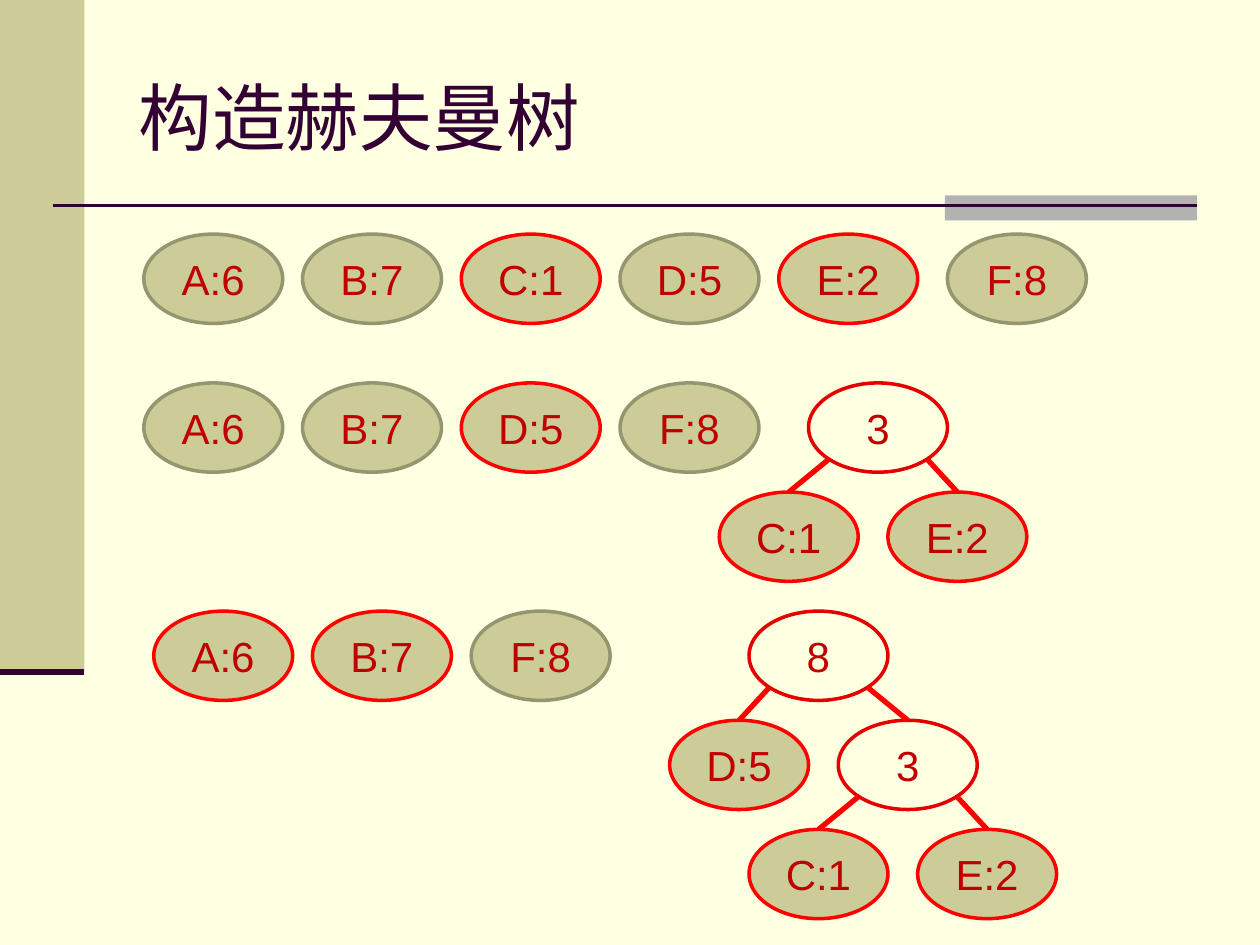
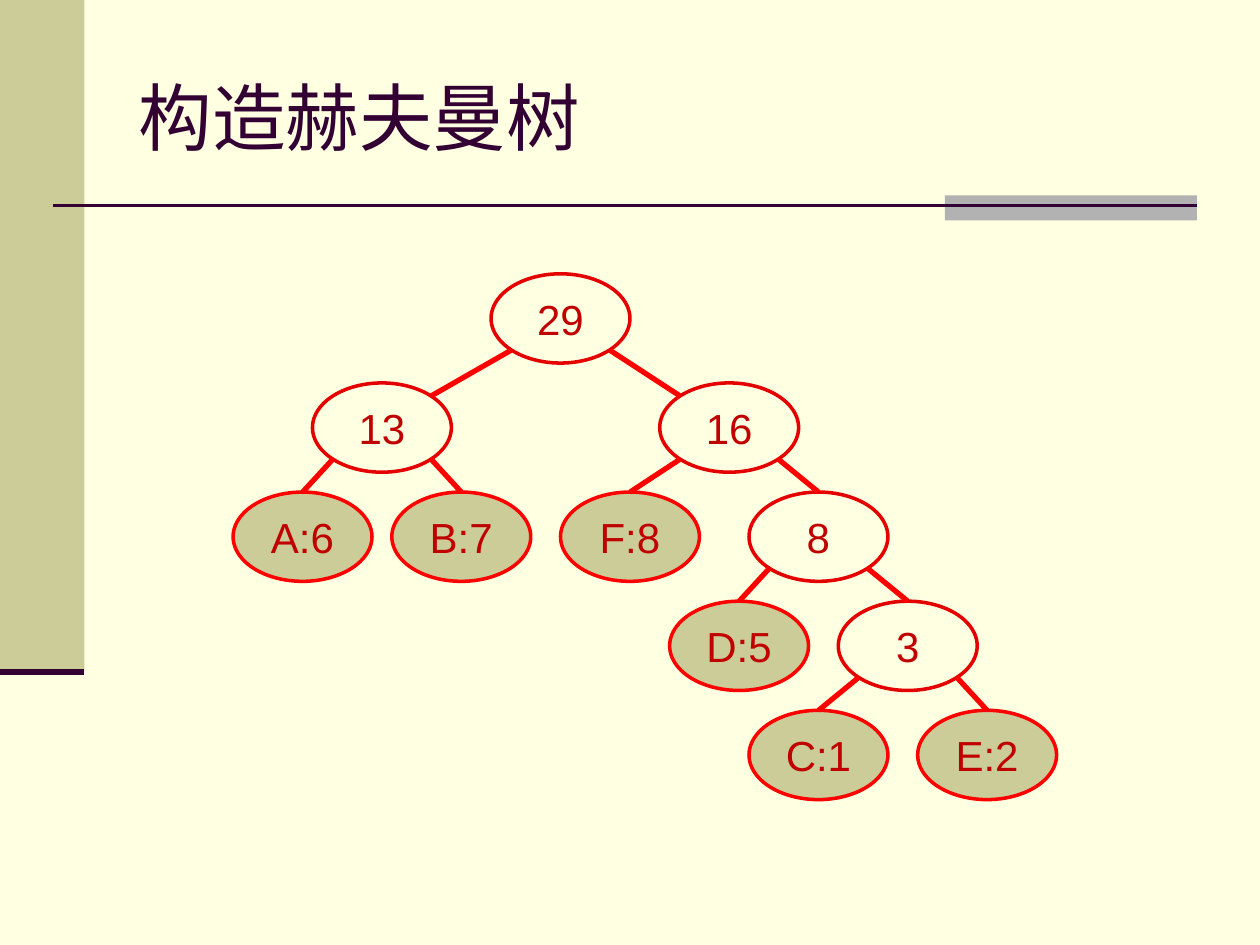
"""Build two slides that show how a Huffman tree is constructed."""
from dataclasses import dataclass
from math import sqrt
from typing import Optional

from pptx import Presentation
from pptx.dml.color import RGBColor
from pptx.enum.shapes import MSO_CONNECTOR, MSO_SHAPE
from pptx.enum.text import MSO_ANCHOR, MSO_AUTO_SIZE, PP_ALIGN
from pptx.oxml.ns import qn
from pptx.shapes.autoshape import Shape
from pptx.shapes.connector import Connector
from pptx.slide import Slide
from pptx.util import Inches, Mm, Pt

STRAIGHT = MSO_CONNECTOR.STRAIGHT
OVAL, RECTANGLE = MSO_SHAPE.OVAL, MSO_SHAPE.RECTANGLE
MIDDLE, LEFT, CENTER = MSO_ANCHOR.MIDDLE, PP_ALIGN.LEFT, PP_ALIGN.CENTER
NO_AUTOFIT = MSO_AUTO_SIZE.NONE

FONT = "Arial"
TITLE = "构造赫夫曼树"
CREAM, KHAKI, SILVER, PLUM = "FFFFE1", "CCCC99", "B2B2B2", "330033"
OLIVE, RED, INNER_RED, TEXT_RED = "95956F", "FF0000", "E50000", "C00000"

CELL = Mm(2)
ORIGIN_COLUMN, ORIGIN_ROW = 0.5, 0.6
NODE_COLUMNS, NODE_ROWS = 14, 9
NODE_STEP, LEVEL_STEP = 16, 11
DIAGONAL = sqrt(0.5)
TITLE_ONLY_LAYOUT = 5
TOP_SITE = 0


@dataclass(frozen=True)
class Node:
    """A tree node, shifted sideways from its parent by a number of columns."""
    label: str
    shift: int = 0
    left: Optional["Node"] = None
    right: Optional["Node"] = None


@dataclass(frozen=True)
class LeafRow:
    """Separate leaves side by side, with those to be merged next picked out."""
    column: int
    row: int
    labels: tuple[str, ...]
    picked: tuple[str, ...] = ()


@dataclass(frozen=True)
class Tree:
    """A tree whose root stands at a column and row of the grid."""
    column: int
    row: int
    root: Node


def tree_of_3(shift: int = 0) -> Node:
    """Return the subtree that joins C and E."""
    return Node("3", shift, Node("C:1", -9), Node("E:2", 8))


def tree_of_8(shift: int = 0) -> Node:
    """Return the subtree that joins D with the tree of C and E."""
    return Node("8", shift, Node("D:5", -8), tree_of_3(9))


LEAF_ROWS = (
    LeafRow(14, 23, ("A:6", "B:7", "C:1", "D:5", "E:2"), ("C:1", "E:2")),
    LeafRow(95, 23, ("F:8",)),
    LeafRow(14, 38, ("A:6", "B:7", "D:5", "F:8"), ("D:5",)),
    LeafRow(15, 61, ("A:6", "B:7", "F:8"), ("A:6", "B:7")),
)
PARTIAL_TREES = (Tree(81, 38, tree_of_3()), Tree(75, 61, tree_of_8()))
FULL_TREE = Tree(49, 27, Node(
    "29", 0,
    Node("13", -18, Node("A:6", -8), Node("B:7", 8)),
    Node("16", 17, Node("F:8", -10), tree_of_8(9)),
))


def colour(value: str) -> RGBColor:
    """Turn a hex string into a colour."""
    return RGBColor.from_string(value)


def add_line(slide: Slide, start: tuple[int, int], end: tuple[int, int],
             line_colour: str, width: float) -> Connector:
    """Draw a straight line without a shadow."""
    line = slide.shapes.add_connector(STRAIGHT, *start, *end)
    line.line.color.rgb = colour(line_colour)
    line.line.width = Pt(width)
    properties = line._element.spPr
    properties.append(properties.makeelement(qn("a:effectLst"), {}))
    return line


def add_band(slide: Slide, left: float, top: float, width: float,
             height: float, fill: str) -> None:
    """Draw a plain rectangle, measured in inches."""
    sizes = (Inches(length) for length in (left, top, width, height))
    band = slide.shapes.add_shape(RECTANGLE, *sizes)
    band.shadow.inherit = False
    band.fill.solid()
    band.fill.fore_color.rgb = colour(fill)
    band.line.fill.background()


def add_slide(deck: Presentation) -> Slide:
    """Add a slide with the shared bands, rules and title."""
    slide = deck.slides.add_slide(deck.slide_layouts[TITLE_ONLY_LAYOUT])
    add_band(slide, 0, 0, 0.67, 5.33, KHAKI)
    add_band(slide, 7.5, 1.55, 2, 0.2, SILVER)
    for left, right, top, width in ((0.42, 9.5, 1.63, 1.5), (0, 0.67, 5.33, 3.5)):
        add_line(slide, (Inches(left), Inches(top)),
                 (Inches(right), Inches(top)), PLUM, width)
    title = slide.shapes.title
    title.left, title.top = Inches(1), Inches(0.3)
    title.width, title.height = Inches(8.5), Inches(1.25)
    frame = title.text_frame
    frame.text = TITLE
    frame.auto_size = NO_AUTOFIT
    frame.vertical_anchor = MIDDLE
    format_text(title, LEFT, 42, PLUM)
    return slide


def format_text(box: Shape, alignment: PP_ALIGN, size: int, text_colour: str) -> None:
    """Format the single paragraph of a shape."""
    para = box.text_frame.paragraphs[0]
    para.alignment = alignment
    for span in para.runs:
        span.font.name = FONT
        span.font.size = Pt(size)
        span.font.color.rgb = colour(text_colour)


def add_oval(slide: Slide, column: int, row: int, label: str,
             fill: str, border: str) -> Shape:
    """Draw one labelled node on the grid."""
    oval = slide.shapes.add_shape(
        OVAL, round((column + ORIGIN_COLUMN) * CELL), round((row + ORIGIN_ROW) * CELL),
        NODE_COLUMNS * CELL, NODE_ROWS * CELL)
    oval.shadow.inherit = False
    oval.fill.solid()
    oval.fill.fore_color.rgb = colour(fill)
    oval.line.color.rgb = colour(border)
    oval.line.width = Pt(2)
    oval.text_frame.text = label
    oval.text_frame.vertical_anchor = MIDDLE
    format_text(oval, CENTER, 24, TEXT_RED)
    return oval


def rim_point(oval: Shape, across: int, down: int) -> tuple[int, int]:
    """Return the diagonal point on an oval's rim; signs choose the corner."""
    half_width, half_height = oval.width / 2, oval.height / 2
    return (round(oval.left + half_width * (1 + across * DIAGONAL)),
            round(oval.top + half_height * (1 + down * DIAGONAL)))


def add_branch(slide: Slide, parent: Shape, child: Shape) -> None:
    """Join a parent to a child's top, or to its near shoulder if it is far off."""
    offset = child.left - parent.left
    side = 1 if offset > 0 else -1
    start = rim_point(parent, side, 1)
    branch = add_line(slide, start, rim_point(child, -side, -1), RED, 3)
    if abs(offset) <= parent.width:
        branch.end_connect(child, TOP_SITE)


def add_node(slide: Slide, node: Node, column: int, row: int) -> Shape:
    """Draw a node with everything below it."""
    children = [child for child in (node.left, node.right) if child]
    fill, border = (CREAM, INNER_RED) if children else (KHAKI, RED)
    oval = add_oval(slide, column, row, node.label, fill, border)
    for child in children:
        below = add_node(slide, child, column + child.shift, row + LEVEL_STEP)
        add_branch(slide, oval, below)
    return oval


def add_leaf_row(slide: Slide, leaves: LeafRow) -> None:
    """Draw a row of separate leaves at equal steps."""
    for index, label in enumerate(leaves.labels):
        border = RED if label in leaves.picked else OLIVE
        add_oval(slide, leaves.column + index * NODE_STEP, leaves.row,
                 label, KHAKI, border)


def add_tree(slide: Slide, tree: Tree) -> None:
    """Draw a whole tree from its root."""
    add_node(slide, tree.root, tree.column, tree.row)


def main() -> None:
    """Build and save the deck."""
    deck = Presentation()
    deck.slide_width, deck.slide_height = Inches(10), Inches(7.5)
    background = deck.slide_master.background.fill
    background.solid()
    background.fore_color.rgb = colour(CREAM)

    steps_slide = add_slide(deck)
    for leaves in LEAF_ROWS:
        add_leaf_row(steps_slide, leaves)
    for tree in PARTIAL_TREES:
        add_tree(steps_slide, tree)

    result_slide = add_slide(deck)
    add_tree(result_slide, FULL_TREE)
    deck.save("out.pptx")


if __name__ == "__main__":
    main()
